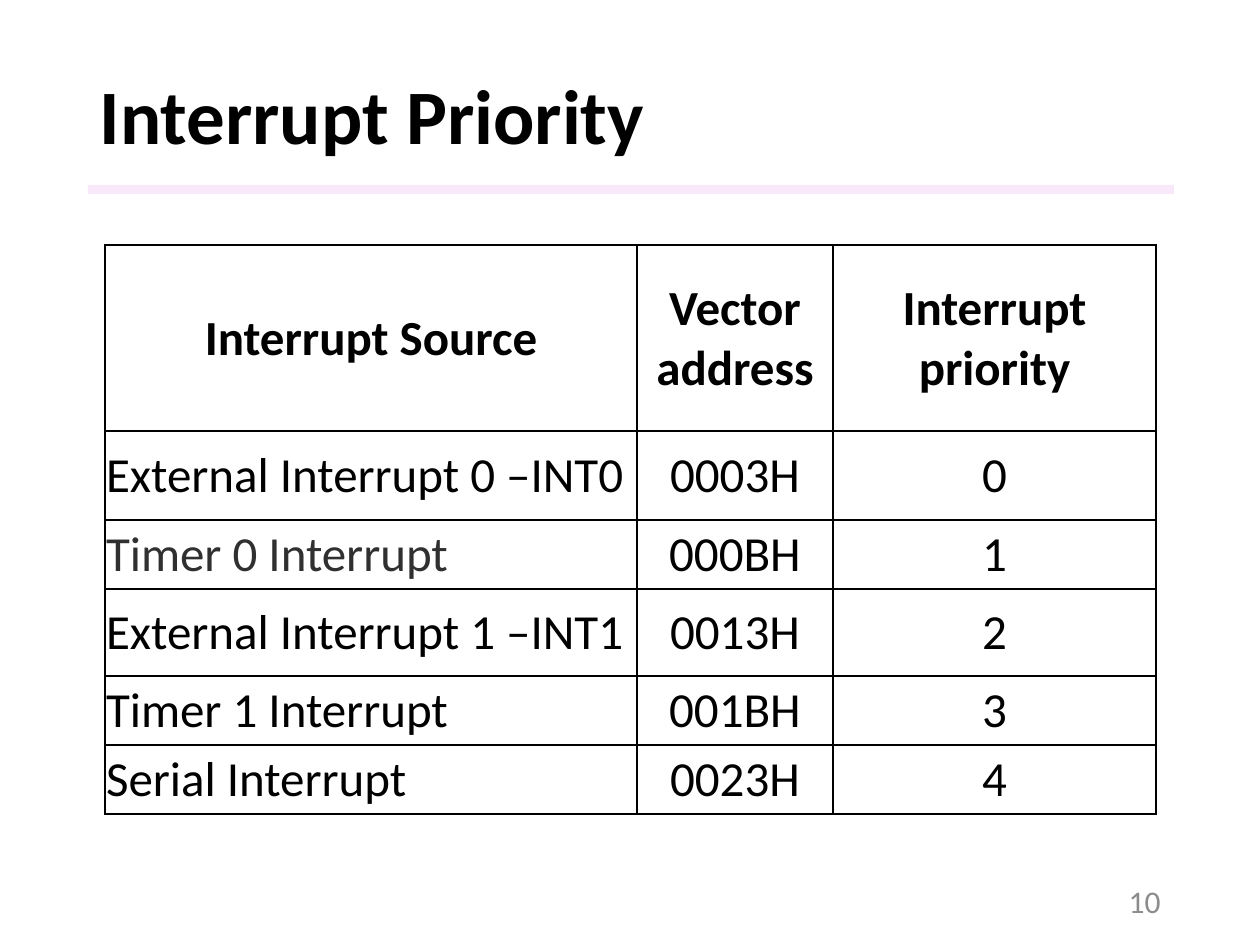
import pptx
import pptx.util
import pptx.dml.color
import pptx.enum.shapes
import pptx.enum.text
import pptx.oxml
import pptx.oxml.ns
from lxml import etree

TITLE = "Interrupt Priority"
PAGE_NUMBER = "10"
HEADER = ("Interrupt Source", "Vector address", "Interrupt priority")
INTERRUPTS = [
    ("External Interrupt 0 –INT0", "0003H", "0"),
    ("Timer 0 Interrupt", "000BH", "1"),
    ("External Interrupt 1 –INT1", "0013H", "2"),
    ("Timer 1 Interrupt", "001BH", "3"),
    ("Serial Interrupt", "0023H", "4"),
]
MUTED_SOURCE = "Timer 0 Interrupt"

COLORS = {"text": "000000", "muted": "303030", "number": "8C8C8C",
          "bar": "F3D2F4", "border": "000000"}
FONT = "Calibri"
EMU_PER_PX = 914400 // 126

SLIDE_SIZE = (1260, 945)
TITLE_BOX = (87, 50, 1086, 140)
BAR_BOX = (88, 185, 1086, 9)
NUMBER_BOX = (890, 876, 283, 50)
TABLE_ORIGIN = (105, 245)
COLUMN_WIDTHS = (532, 196, 323)
ROW_HEIGHTS = (186, 89, 69, 87, 69, 69)

ALIGN = pptx.enum.text.PP_ALIGN
MIDDLE = pptx.enum.text.MSO_ANCHOR.MIDDLE


def px(length):
    return pptx.util.Emu(length * EMU_PER_PX)


def color(name):
    return pptx.dml.color.RGBColor.from_string(COLORS[name])


def place(shape, box):
    shape.left, shape.top, shape.width, shape.height = map(px, box)


def write(text_frame, text, size, color_name="text", bold=False, align=ALIGN.LEFT):
    paragraph = text_frame.paragraphs[0]
    paragraph.alignment = align
    run = paragraph.add_run()
    run.text = text
    run.font.name = FONT
    run.font.size = pptx.util.Pt(size)
    run.font.bold = bold
    run.font.color.rgb = color(color_name)
    return paragraph


def add_borders(cell):
    """Put a thin line on all four sides; lines must come before the fill."""
    properties = cell._tc.get_or_add_tcPr()
    for index, side in enumerate(("lnL", "lnR", "lnT", "lnB")):
        line = pptx.oxml.parse_xml(
            f'<a:{side} {pptx.oxml.ns.nsdecls("a")} w="12700"><a:solidFill>'
            f'<a:srgbClr val="{COLORS["border"]}"/></a:solidFill></a:{side}>')
        properties.insert(index, line)


def add_title(slide):
    title = slide.shapes.title
    place(title, TITLE_BOX)
    title.text_frame.word_wrap = True
    title.text_frame.vertical_anchor = MIDDLE
    write(title.text_frame, TITLE, 44, bold=True).line_spacing = 0.9


def add_bar(slide):
    bar = slide.shapes.add_shape(
        pptx.enum.shapes.MSO_SHAPE.RECTANGLE, *map(px, BAR_BOX))
    bar.shadow.inherit = False
    bar.line.fill.background()
    bar.fill.solid()
    bar.fill.fore_color.rgb = color("bar")
    fill_color = bar.fill._xPr.find(".//" + pptx.oxml.ns.qn("a:srgbClr"))
    etree.SubElement(fill_color, pptx.oxml.ns.qn("a:alpha"), val="50000")


def add_page_number(slide):
    text_frame = slide.shapes.add_textbox(*map(px, NUMBER_BOX)).text_frame
    text_frame.word_wrap = True
    text_frame.vertical_anchor = MIDDLE
    write(text_frame, PAGE_NUMBER, 18, "number", align=ALIGN.RIGHT)


def add_interrupt_table(slide):
    rows = [HEADER, *INTERRUPTS]
    size = (sum(COLUMN_WIDTHS), sum(ROW_HEIGHTS))
    table = slide.shapes.add_table(
        len(rows), len(HEADER), *map(px, TABLE_ORIGIN + size)).table
    for column, width in zip(table.columns, COLUMN_WIDTHS):
        column.width = px(width)
    for row, height in zip(table.rows, ROW_HEIGHTS):
        row.height = px(height)
    for row_index, texts in enumerate(rows):
        is_header = row_index == 0
        for column_index, text in enumerate(texts):
            cell = table.cell(row_index, column_index)
            cell.fill.background()
            cell.vertical_anchor = MIDDLE
            cell.margin_left = cell.margin_right = cell.margin_top = px(1)
            cell.margin_bottom = 0
            centered = is_header or column_index > 0
            write(cell.text_frame, text, 28,
                  "muted" if text == MUTED_SOURCE else "text",
                  bold=is_header, align=ALIGN.CENTER if centered else ALIGN.LEFT)
            add_borders(cell)


def main():
    presentation = pptx.Presentation()
    presentation.slide_width, presentation.slide_height = map(px, SLIDE_SIZE)
    slide = presentation.slides.add_slide(presentation.slide_layouts[5])
    add_bar(slide)
    add_title(slide)
    add_page_number(slide)
    add_interrupt_table(slide)
    presentation.save("out.pptx")


if __name__ == "__main__":
    main()
